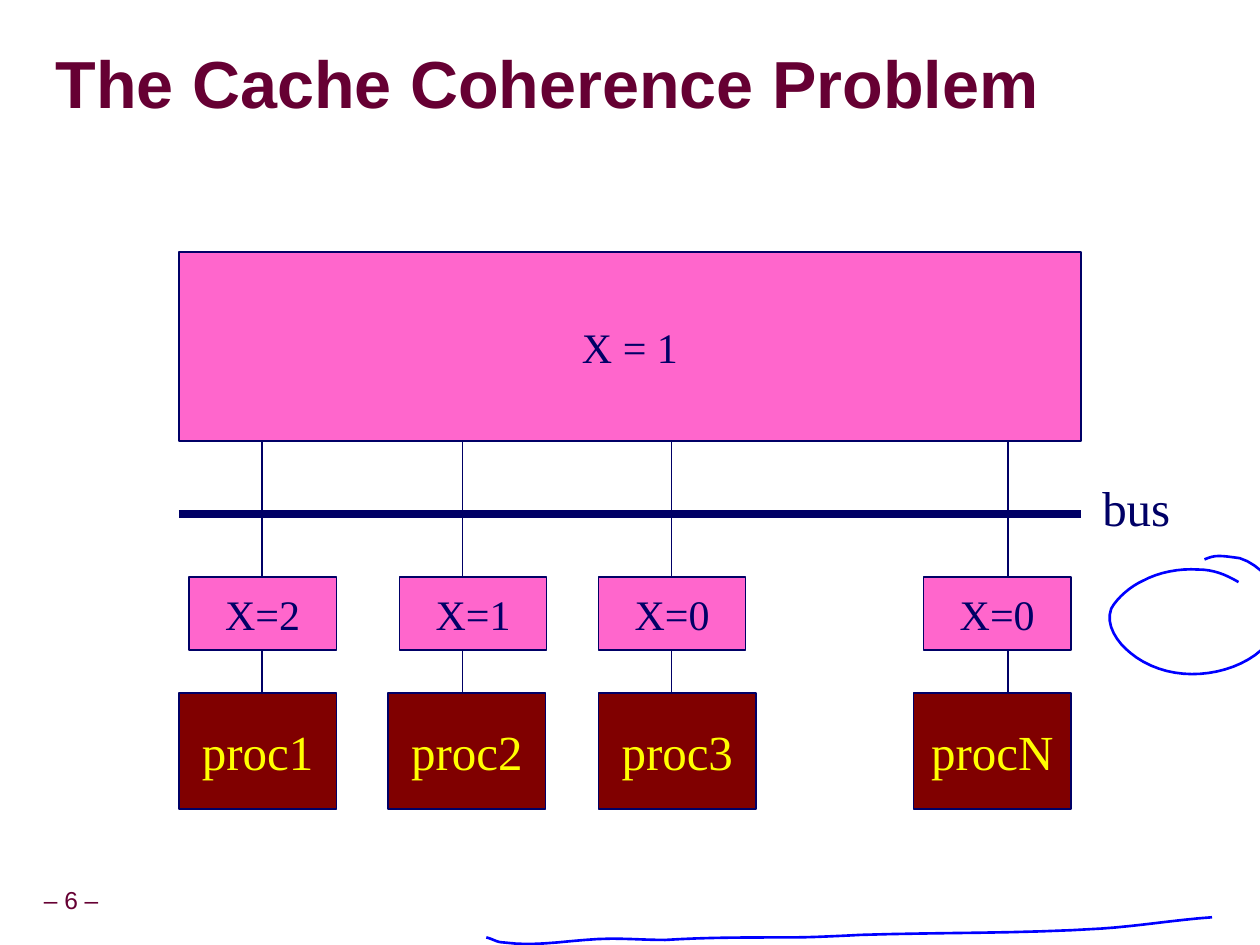
from lxml import etree
from pptx import Presentation
from pptx.dml.color import RGBColor
from pptx.enum.shapes import MSO_CONNECTOR, MSO_SHAPE
from pptx.enum.text import MSO_ANCHOR, MSO_AUTO_SIZE, PP_ALIGN
from pptx.oxml.ns import qn
from pptx.util import Inches, Pt

RECT = MSO_SHAPE.RECTANGLE
STRAIGHT = MSO_CONNECTOR.STRAIGHT
LEFT, CENTER = PP_ALIGN.LEFT, PP_ALIGN.CENTER
TOP, MIDDLE = MSO_ANCHOR.TOP, MSO_ANCHOR.MIDDLE
NO_AUTOFIT = MSO_AUTO_SIZE.NONE

COLORS = {
    "maroon": "660033", "navy": "000066", "pink": "FF66CC", "brown": "800000",
    "yellow": "FFFF00", "ink": "0000FF", "shadow": "969696",
}
SERIF, SANS = "Times New Roman", "Arial"

# processor, cached value, box left, cache left, wire x
NODES = [
    ("proc1", "X=2", 1.42, 1.5, 2.08),
    ("proc2", "X=1", 3.08, 3.17, 3.67),
    ("proc3", "X=0", 4.75, 4.75, 5.33),
    ("procN", "X=0", 7.25, 7.33, 8),
]
MEMORY_LEFT, MEMORY_RIGHT, MEMORY_BOTTOM = 1.42, 8.58, 3.5
CACHE_TOP, PROC_TOP, BUS_Y = 4.58, 5.5, 4.08

# Pen strokes: a start point, then two control points and an end point per curve
LOOP = [
    (9.83, 4.62), (9.73, 4.56), (9.63, 4.52), (9.51, 4.52),
    (9.36, 4.51), (9.2, 4.54), (9.07, 4.61), (8.98, 4.65), (8.87, 4.74), (8.82, 4.83),
    (8.77, 4.96), (8.87, 5.1), (8.97, 5.18), (9.1, 5.29), (9.28, 5.35), (9.46, 5.35),
    (9.64, 5.35), (9.82, 5.3), (9.96, 5.2), (10.08, 5.11), (10.19, 4.98), (10.17, 4.82),
    (10.15, 4.65), (10, 4.48), (9.84, 4.43), (9.69, 4.41), (9.65, 4.4), (9.56, 4.44),
]
UNDERLINE = [
    (3.86, 7.44), (3.91, 7.45), (3.94, 7.48), (4, 7.48),
    (4.27, 7.52), (4.57, 7.45), (4.85, 7.45), (4.99, 7.45), (5.14, 7.46), (5.28, 7.46),
    (5.6, 7.44), (5.92, 7.44), (6.25, 7.44), (6.44, 7.44), (6.63, 7.43), (6.83, 7.42),
    (7.46, 7.4), (8.1, 7.41), (8.74, 7.37), (9.04, 7.35), (9.33, 7.3), (9.62, 7.28),
]


def rgb(name):
    return RGBColor.from_string(COLORS[name])


def set_attributes(target, values):
    for key, value in values.items():
        setattr(target, key, value)


def write(shape, text, size, color, font=SERIF, bold=False, align=CENTER,
          anchor=MIDDLE, spacing=1.0, wrap=False):
    frame = shape.text_frame
    set_attributes(frame, {"word_wrap": wrap, "vertical_anchor": anchor})
    paragraph = frame.paragraphs[0]
    set_attributes(paragraph, {"alignment": align, "line_spacing": spacing})
    run = paragraph.add_run()
    run.text = text
    set_attributes(run.font, {"size": Pt(size), "name": font, "bold": bold})
    run.font.color.rgb = rgb(color)
    return run


def set_line(shape, color, width):
    shape.line.color.rgb = rgb(color)
    shape.line.width = Pt(width)


def add_box(slide, text, left, top, width, height, fill, size, color):
    box = slide.shapes.add_shape(
        RECT, Inches(left), Inches(top), Inches(width), Inches(height))
    box.shadow.inherit = False
    box.fill.solid()
    box.fill.fore_color.rgb = rgb(fill)
    set_line(box, "navy", 0.75)
    write(box, text, size, color)


def add_wire(slide, x1, y1, x2, y2, width=0.75):
    wire = slide.shapes.add_connector(
        STRAIGHT, Inches(x1), Inches(y1), Inches(x2), Inches(y2))
    set_line(wire, "navy", width)
    etree.SubElement(wire._element.spPr, qn("a:effectLst"))


def add_label(slide, text, left, top, width, height, **text_format):
    label = slide.shapes.add_textbox(
        Inches(left), Inches(top), Inches(width), Inches(height))
    write(label, text, **text_format)


def curve_points(nodes, steps=8):
    """Points along a chain of cubic Bezier curves."""
    points = [nodes[0]]
    for i in range(0, len(nodes) - 1, 3):
        curve = nodes[i:i + 4]
        for step in range(1, steps + 1):
            t = step / steps
            weights = ((1 - t) ** 3, 3 * t * (1 - t) ** 2, 3 * t * t * (1 - t), t ** 3)
            points.append(tuple(
                sum(w * node[axis] for w, node in zip(weights, curve))
                for axis in (0, 1)))
    return points


def add_pen_stroke(slide, nodes):
    start, *rest = [(Inches(x), Inches(y)) for x, y in curve_points(nodes)]
    builder = slide.shapes.build_freeform(*start)
    builder.add_line_segments(rest, close=False)
    stroke = builder.convert_to_shape()
    stroke.shadow.inherit = False
    stroke.fill.background()
    set_line(stroke, "ink", 1.5)


def add_text_shadow(run):
    fill = run.font._element.find(qn("a:solidFill"))
    effects = etree.Element(qn("a:effectLst"))
    shadow = etree.SubElement(
        effects, qn("a:outerShdw"), dist="38100", dir="2700000", algn="tl")
    etree.SubElement(shadow, qn("a:srgbClr"), val=COLORS["shadow"])
    fill.addnext(effects)


def set_title(slide, text):
    title = slide.shapes.title
    set_attributes(title, {"left": Inches(0.44), "top": Inches(0.27),
                           "width": Inches(9.53), "height": Inches(0.85)})
    set_attributes(title.text_frame, {
        "margin_left": 0, "margin_right": 0, "margin_top": 0, "margin_bottom": 0,
        "auto_size": NO_AUTOFIT})
    run = write(title, text, 38, "maroon", font=SANS, bold=True, align=LEFT,
                spacing=0.87, wrap=True)
    add_text_shadow(run)


def add_machine(slide):
    for processor, _, left, _, _ in NODES:
        add_box(slide, processor, left, PROC_TOP, 1.25, 0.92, "brown", 28, "yellow")
    add_box(slide, "X = 1", MEMORY_LEFT, 2, MEMORY_RIGHT - MEMORY_LEFT, 1.5,
            "pink", 24, "navy")
    for _, value, _, left, x in NODES:
        add_wire(slide, x, MEMORY_BOTTOM, x, CACHE_TOP)
        add_wire(slide, x, CACHE_TOP + 0.5, x, PROC_TOP)
        add_box(slide, value, left, CACHE_TOP, 1.17, 0.58, "pink", 24, "navy")
    add_wire(slide, MEMORY_LEFT, BUS_Y, MEMORY_RIGHT, BUS_Y, width=4.5)
    add_label(slide, "bus", 8.65, 3.74, 0.74, 0.57, size=28, color="navy",
              align=LEFT, anchor=TOP)


def main():
    prs = Presentation()
    prs.slide_width, prs.slide_height = Inches(10), Inches(7.5)
    slide = prs.slides.add_slide(prs.slide_layouts[5])
    add_label(slide, "– 6 –", -0.09, 7, 1.31, 0.31, size=14, color="maroon",
              font=SANS, spacing=0.9)
    set_title(slide, "The Cache Coherence Problem")
    add_machine(slide)
    for nodes in (LOOP, UNDERLINE):
        add_pen_stroke(slide, nodes)
    prs.save("out.pptx")


if __name__ == "__main__":
    main()
